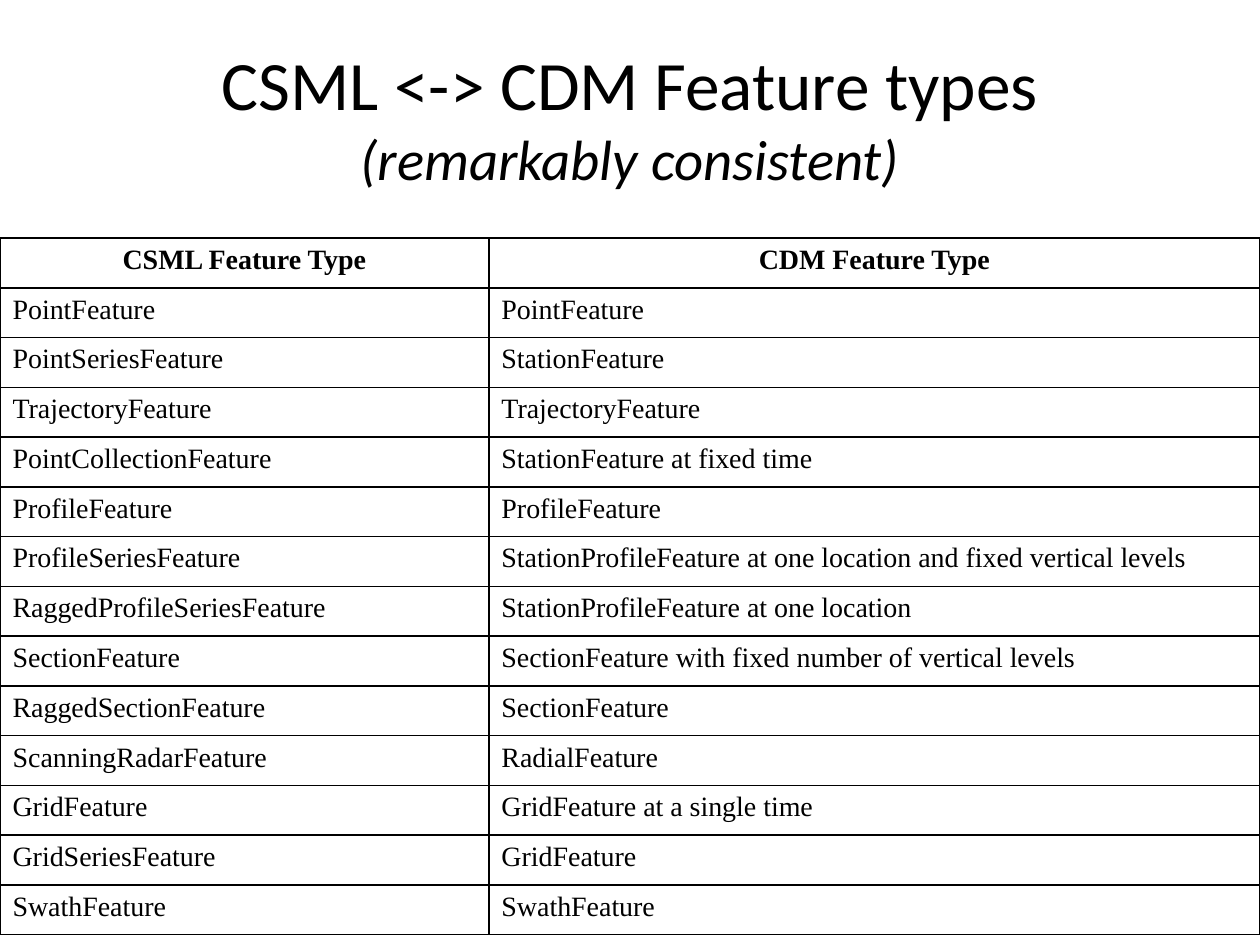
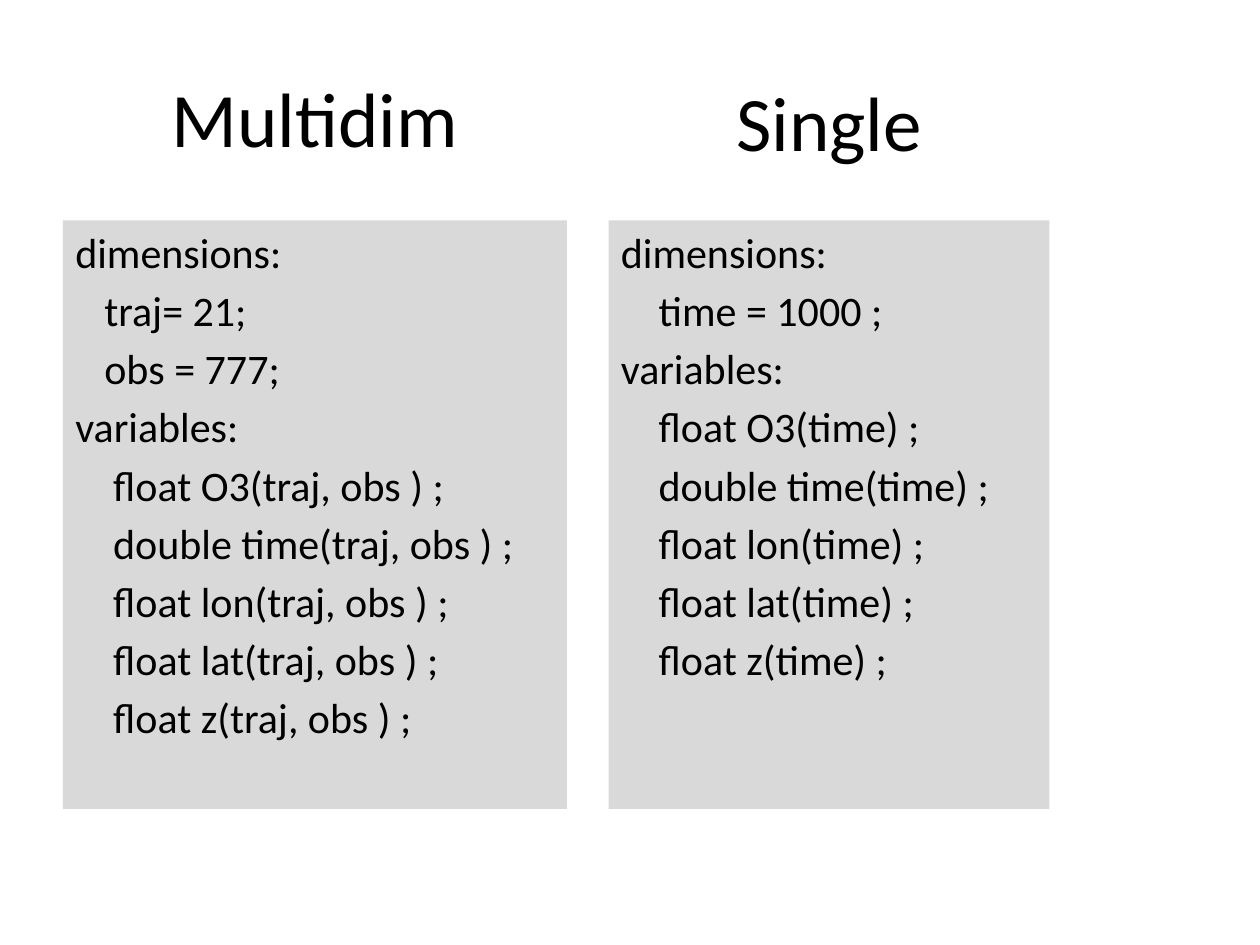
from pptx import Presentation
from pptx.dml.color import RGBColor
from pptx.enum.shapes import MSO_SHAPE as Shape
from pptx.enum.text import MSO_ANCHOR as Anchor, PP_ALIGN as Align
from pptx.oxml.ns import qn
from pptx.util import Inches, Pt
from lxml.etree import SubElement


def colour(hex_text):
    return RGBColor.from_string(hex_text)


class SlideBuilder:
    """Holds the shared style and the slide being filled."""
    ink, panel_fill = "000000", "D9D9D9"
    sans, serif = "Calibri", "Times New Roman"
    title_size, code_size, cell_size = 44, 24, 16

    def __init__(self, deck):
        self.deck = deck
        self.page = None

    def new_page(self):
        self.page = self.deck.slides.add_slide(self.deck.slide_layouts[6])

    def add_span(self, para, text, **format_values):
        span = para.add_run()
        span.text = text
        span.font.color.rgb = colour(self.ink)
        for name, value in format_values.items():
            setattr(span.font, name, value)

    def title(self, left, top, width, lines):
        """Centred title; lines are (text, size, italic)."""
        box = self.page.shapes.add_textbox(
            Inches(left), Inches(top), Inches(width), Inches(1.25))
        frame = box.text_frame
        frame.word_wrap = True
        frame.vertical_anchor = Anchor.MIDDLE
        para = frame.paragraphs[0]
        para.alignment = Align.CENTER
        for number, (text, size, italic) in enumerate(lines):
            if number:
                para.add_line_break()
            self.add_span(para, text, name=self.sans, size=Pt(size), italic=italic)

    def code_panel(self, left, width, lines):
        """Grey panel; lines are (indent in inches, text)."""
        box = self.page.shapes.add_shape(
            Shape.RECTANGLE, Inches(left), Inches(1.75), Inches(width), Inches(4.67))
        box.shadow.inherit = False
        box.fill.solid()
        box.fill.fore_color.rgb = colour(self.panel_fill)
        box.line.fill.background()
        frame = box.text_frame
        frame.word_wrap = True
        frame.vertical_anchor = Anchor.TOP
        for number, (indent, text) in enumerate(lines):
            para = frame.add_paragraph() if number else frame.paragraphs[0]
            para.alignment = Align.LEFT
            para.space_before = Pt(4.4)
            para._p.get_or_add_pPr().set("marL", str(Inches(indent)))
            self.add_span(para, text, name=self.sans, size=Pt(self.code_size))

    def border(self, cell):
        properties = cell._tc.get_or_add_tcPr()
        for side in ("lnL", "lnR", "lnT", "lnB"):
            line = SubElement(properties, qn(f"a:{side}"), w=str(Pt(1)))
            fill = SubElement(line, qn("a:solidFill"))
            SubElement(fill, qn("a:srgbClr"), val=self.ink)

    def table(self, top, height, column_widths, rows):
        """Ruled table of equal rows; the first row is the heading."""
        table = self.page.shapes.add_table(
            len(rows), len(column_widths), 0, Inches(top),
            Inches(sum(column_widths)), Inches(height)).table
        table.first_row = table.horz_banding = False
        for column, width in zip(table.columns, column_widths):
            column.width = Inches(width)
        for row_number, row in enumerate(rows):
            heading = row_number == 0
            for column_number, text in enumerate(row):
                cell = table.cell(row_number, column_number)
                self.border(cell)
                cell.fill.background()
                para = cell.text_frame.paragraphs[0]
                para.alignment = Align.CENTER if heading else Align.LEFT
                self.add_span(para, text, name=self.serif,
                              size=Pt(self.cell_size), bold=heading)


deck = Presentation()
deck.slide_width, deck.slide_height = Inches(10), Inches(7.5)
builder = SlideBuilder(deck)

# Slide 1: feature types side by side
FEATURE_TYPES = [
    ("CSML Feature Type", "CDM Feature Type"),
    ("PointFeature", "PointFeature"),
    ("PointSeriesFeature", "StationFeature"),
    ("TrajectoryFeature", "TrajectoryFeature"),
    ("PointCollectionFeature", "StationFeature at fixed time"),
    ("ProfileFeature", "ProfileFeature"),
    ("ProfileSeriesFeature",
     "StationProfileFeature at one location and fixed vertical levels"),
    ("RaggedProfileSeriesFeature", "StationProfileFeature at one location"),
    ("SectionFeature", "SectionFeature with fixed number of vertical levels"),
    ("RaggedSectionFeature", "SectionFeature"),
    ("ScanningRadarFeature", "RadialFeature"),
    ("GridFeature", "GridFeature at a single time"),
    ("GridSeriesFeature", "GridFeature"),
    ("SwathFeature", "SwathFeature"),
]
builder.new_page()
builder.title(0.5, 0.3, 9, [("CSML <-> CDM Feature types", 39.6, False),
                            ("(remarkably consistent)", 32.4, True)])
builder.table(1.89, 5.53, (3.88, 6.12), FEATURE_TYPES)

# Slide 2: two ways to lay out trajectories
VARIABLES = ("float O3", "double time", "float lon", "float lat", "float z")
LAYOUTS = [
    # heading, left, heading top, width, dimension indent, dimensions, index
    ("Multidim", 0.5, 0.3, 4, 0.23, ("traj= 21;", "obs = 777;"), "traj, obs "),
    ("Single", 4.83, 0.33, 3.5, 0.3, ("time = 1000 ;",), "time"),
]
builder.new_page()
for heading, left, top, width, indent, dimensions, index in LAYOUTS:
    builder.title(left, top, width, [(heading, builder.title_size, False)])
    builder.code_panel(left, width, [
        (0, "dimensions:"),
        *((indent, dimension) for dimension in dimensions),
        (0, "variables:"),
        *((0.3, f"{variable}({index}) ;") for variable in VARIABLES),
    ])

deck.save("out.pptx")
